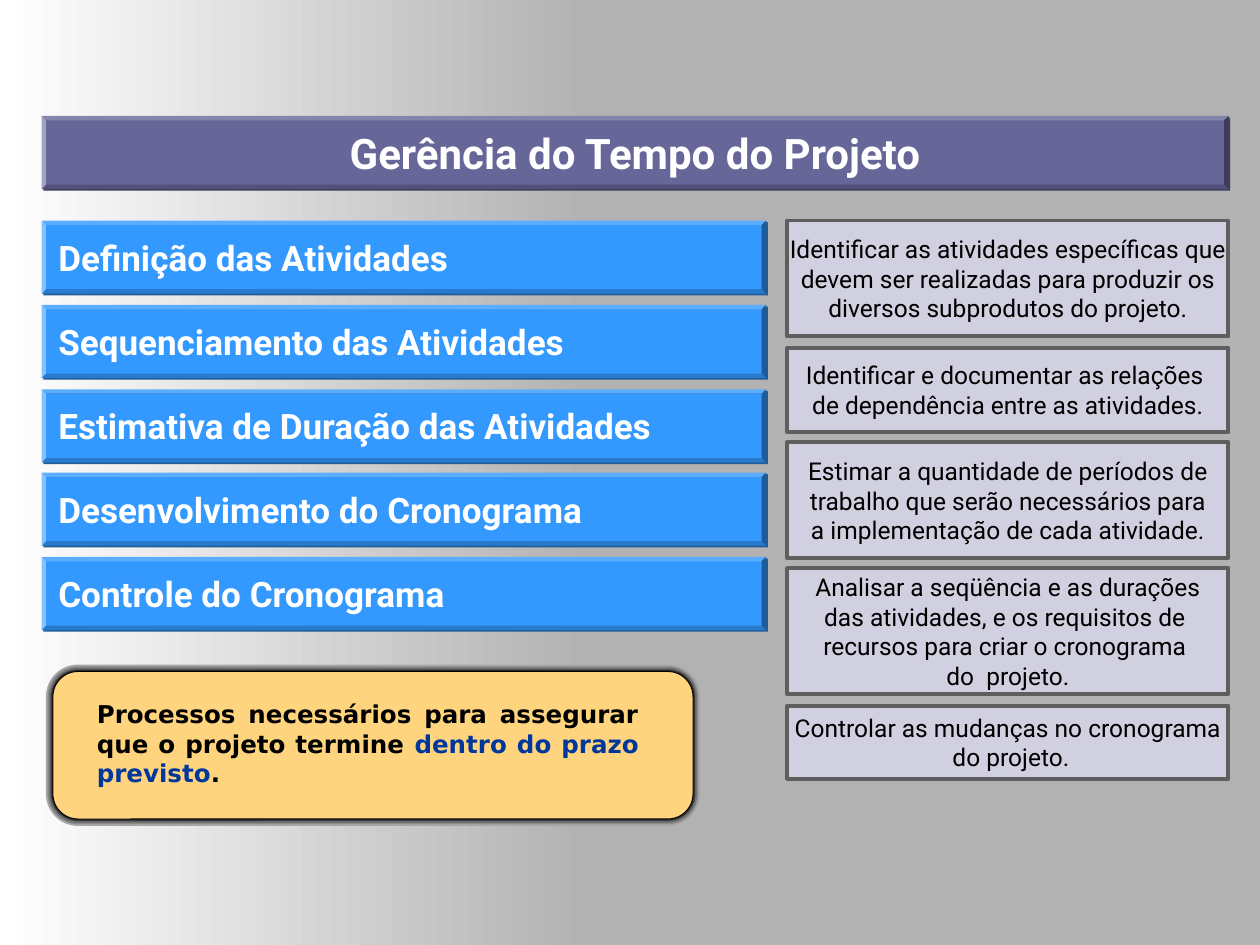
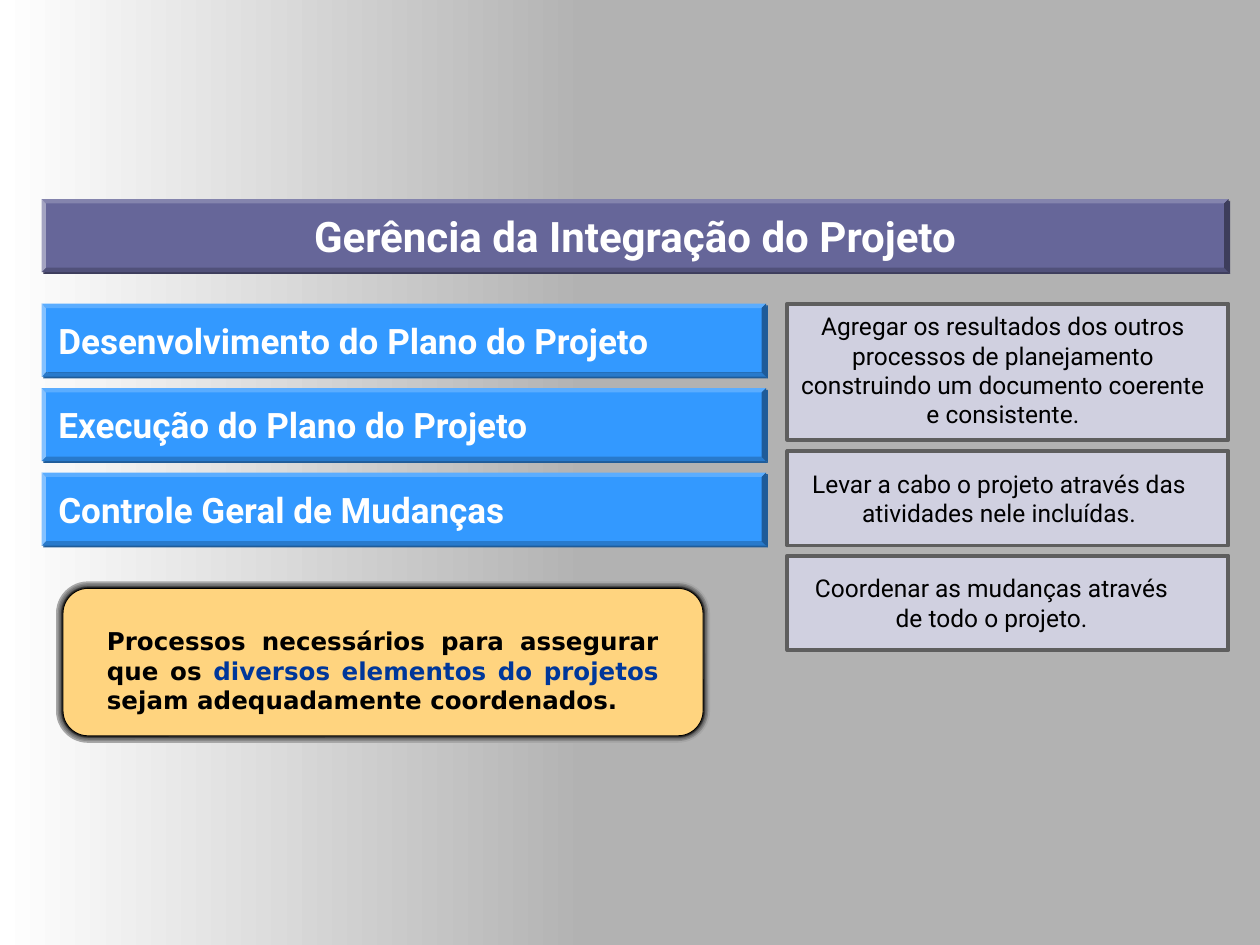
from dataclasses import dataclass

from lxml import etree
from pptx import Presentation
from pptx.dml.color import RGBColor
from pptx.enum.shapes import MSO_SHAPE
from pptx.enum.text import MSO_ANCHOR, PP_ALIGN
from pptx.oxml.ns import qn
from pptx.util import Inches, Pt

RECTANGLE = MSO_SHAPE.RECTANGLE
ROUNDED = MSO_SHAPE.ROUNDED_RECTANGLE
BEVEL = MSO_SHAPE.BEVEL
TOP, MIDDLE = MSO_ANCHOR.TOP, MSO_ANCHOR.MIDDLE
LEFT, CENTER, JUSTIFY = PP_ALIGN.LEFT, PP_ALIGN.CENTER, PP_ALIGN.JUSTIFY


@dataclass(frozen=True)
class Theme:
    background: str = "B2B2B2"
    white: str = "FFFFFF"
    black: str = "000000"
    title: str = "666699"
    title_shadow: str = "3D3D5C"
    process: str = "3399FF"
    process_shadow: str = "1F5C99"
    card: str = "D0D0E0"
    card_line: str = "5E5E5E"
    note: str = "FFD47F"
    emphasis: str = "00379A"
    halo: tuple = (("A7A7A7", 8), ("8A8A8A", 6), ("727272", 4.5), ("5E5E5E", 3),
                   ("404040", 2.25), ("292929", 1.5), ("000000", 0.5))
    font: str = "Roboto"
    note_font: str = "DejaVu Sans"
    title_size: float = 24
    process_size: float = 20
    body_size: float = 14


theme = Theme()
LEFT_EDGE = 0.33
BAR_HEIGHT = 7 / 12
GAP = 1 / 12
CARD_LEFT, CARD_WIDTH = 6.25, 3.5

topics = [
    {
        "title": "Gerência do Tempo do Projeto",
        "top": 0.92,
        "processes": ["Definição das Atividades", "Sequenciamento das Atividades",
                      "Estimativa de Duração das Atividades",
                      "Desenvolvimento do Cronograma", "Controle do Cronograma"],
        "cards": [
            (0.92, ["Identificar as atividades específicas que",
                    "devem ser realizadas para produzir os",
                    "diversos subprodutos do projeto."], None),
            (0.67, ["Identificar e documentar as relações ",
                    "de dependência entre as atividades."], None),
            (0.92, ["Estimar a quantidade de períodos de",
                    "trabalho que serão necessários para",
                    "a implementação de cada atividade."], None),
            (1, ["Analisar a seqüência e as durações",
                 "das atividades, e os requisitos de ",
                 "recursos para criar o cronograma ",
                 "do  projeto."], None),
            (0.58, ["Controlar as mudanças no cronograma", " do projeto."], None),
        ],
        "note_at": (0.42, 5.33),
        "note_text_at": (0.67, 5.5, 4.5, 0.8),
        "note": [("Processos necessários para assegurar que o projeto termine ", theme.black),
                 ("dentro do prazo previsto", theme.emphasis), (".", theme.black)],
    },
    {
        "title": "Gerência da Integração do Projeto",
        "top": 1.58,
        "processes": ["Desenvolvimento do Plano do Projeto",
                      "Execução do Plano do Projeto", "Controle Geral de Mudanças"],
        "cards": [
            (1.08, ["Agregar os resultados dos outros processos de planejamento "
                    "construindo um documento coerente e consistente."],
             (6.25, 2.42, 3.42, 1.04)),
            (0.75, ["Levar a cabo o projeto através das atividades nele incluídas."],
             (6.33, 3.67, 3.2, 0.57)),
            (0.75, ["Coordenar as mudanças através de todo o projeto."],
             (6.33, 4.5, 3.08, 0.57)),
        ],
        "note_at": (0.5, 4.67),
        "note_text_at": (0.75, 4.92, 4.58, 0.8),
        "note": [("Processos necessários para assegurar que os ", theme.black),
                 ("diversos elementos do projetos ", theme.emphasis),
                 ("sejam adequadamente coordenados.", theme.black)],
    },
]


def add_block(shapes, outline, bounds, fill, line=None, line_width=0, shadow=None):
    block = shapes.add_shape(outline, *(Inches(round(value, 2)) for value in bounds))
    block.shadow.inherit = False
    block.fill.solid()
    block.fill.fore_color.rgb = RGBColor.from_string(fill)
    if line:
        block.line.color.rgb = RGBColor.from_string(line)
        block.line.width = Pt(line_width)
    else:
        block.line.fill.background()
    if shadow:
        effects = block.element.spPr.find(qn("a:effectLst"))
        outer = etree.SubElement(effects, qn("a:outerShdw"), dist=str(Pt(1.4)),
                                 dir="2700000", algn="ctr", rotWithShape="0")
        etree.SubElement(outer, qn("a:srgbClr"), val=shadow)
    return block


def write(block, paragraphs, size, align, anchor=MIDDLE, wrap=True, font=theme.font, bold=False):
    frame = block.text_frame
    frame.word_wrap = wrap
    frame.vertical_anchor = anchor
    for index, pieces in enumerate(paragraphs):
        paragraph = frame.add_paragraph() if index else frame.paragraphs[0]
        paragraph.alignment = align
        for text, color in pieces:
            run = paragraph.add_run()
            run.text = text
            run.font.name = font
            run.font.size = Pt(size)
            run.font.bold = bold
            run.font.color.rgb = RGBColor.from_string(color)


prs = Presentation()
prs.slide_width, prs.slide_height = Inches(10), Inches(7.5)
master = prs.slide_master
master.background.fill.solid()
master.background.fill.fore_color.rgb = RGBColor.from_string(theme.background)
slides = [prs.slides.add_slide(prs.slide_layouts[6]) for topic in topics]

fade = add_block(slides[0].shapes, RECTANGLE, (0, 0, 4.67, 7.5), theme.white)
fade.fill.gradient()
fade.fill.gradient_angle = 0
for stop, position, color in zip(fade.fill.gradient_stops, (0, 1),
                                 (theme.white, theme.background)):
    stop.position = position
    stop.color.rgb = RGBColor.from_string(color)
master.shapes.element.append(fade.element)

for slide, topic in zip(slides, topics):
    shapes = slide.shapes
    title = add_block(shapes, BEVEL, (LEFT_EDGE, topic["top"], 9.42, BAR_HEIGHT),
                      theme.title, shadow=theme.title_shadow)
    title.adjustments[0] = 0.06
    write(title, [[(topic["title"], theme.white)]], theme.title_size, CENTER, bold=True)

    content_top = topic["top"] + BAR_HEIGHT + 0.25
    for row, name in enumerate(topic["processes"]):
        top = content_top + row * (BAR_HEIGHT + GAP)
        process = add_block(shapes, BEVEL, (LEFT_EDGE, top, 5.75, BAR_HEIGHT),
                            theme.process, shadow=theme.process_shadow)
        process.adjustments[0] = 0.06
        write(process, [[(name, theme.white)]], theme.process_size, LEFT, bold=True)

    halo = shapes.add_group_shape().shapes
    for color, width in theme.halo:
        ring = add_block(halo, ROUNDED, (*topic["note_at"], 5.08, 1.17),
                         theme.note, color, width)
        ring.adjustments[0] = 0.17
    note = shapes.add_textbox(*map(Inches, topic["note_text_at"]))
    write(note, [topic["note"]], theme.body_size, JUSTIFY, TOP,
          font=theme.note_font, bold=True)

    card_top = content_top
    for height, lines, text_at in topic["cards"]:
        card = add_block(shapes, RECTANGLE, (CARD_LEFT, card_top, CARD_WIDTH, height),
                         theme.card, theme.card_line, 2.25)
        label = shapes.add_textbox(*map(Inches, text_at)) if text_at else card
        write(label, [[(line, theme.black)] for line in lines], theme.body_size, CENTER,
              TOP if text_at else MIDDLE, wrap=bool(text_at))
        card_top += height + GAP

prs.save("out.pptx")
